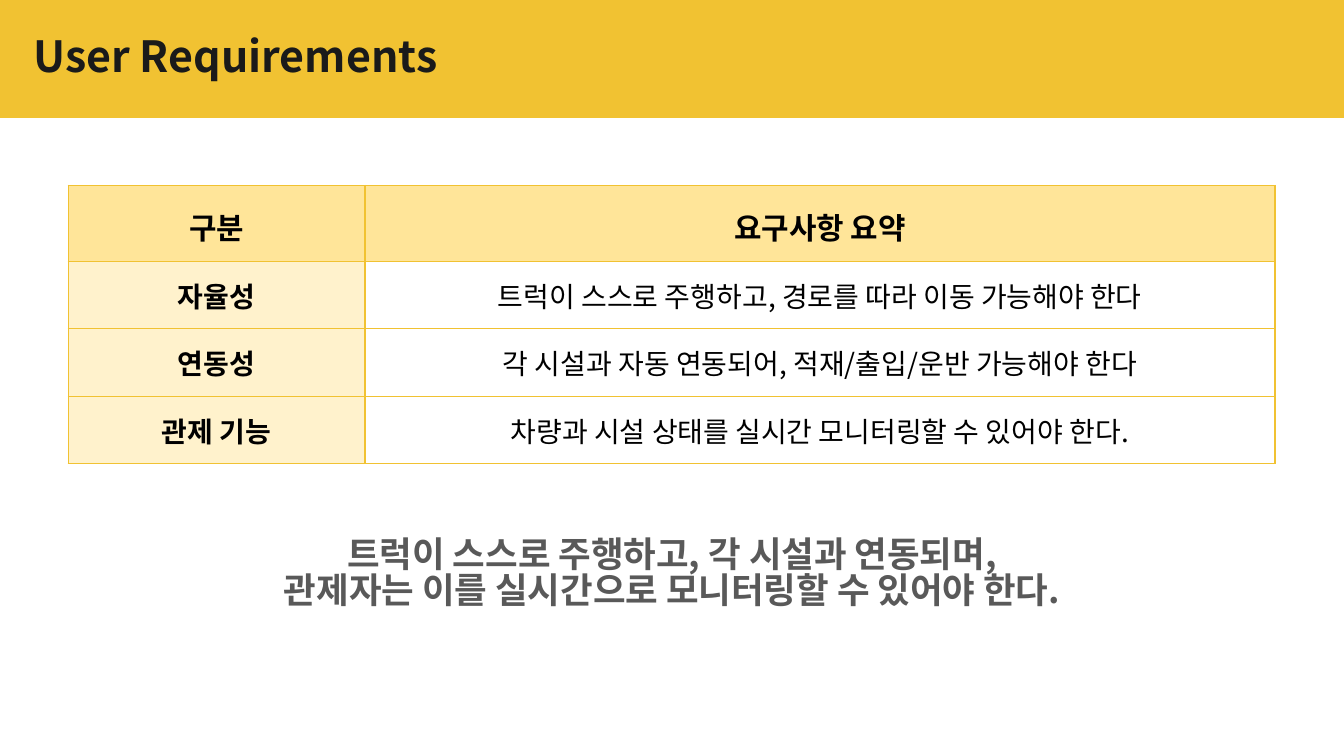
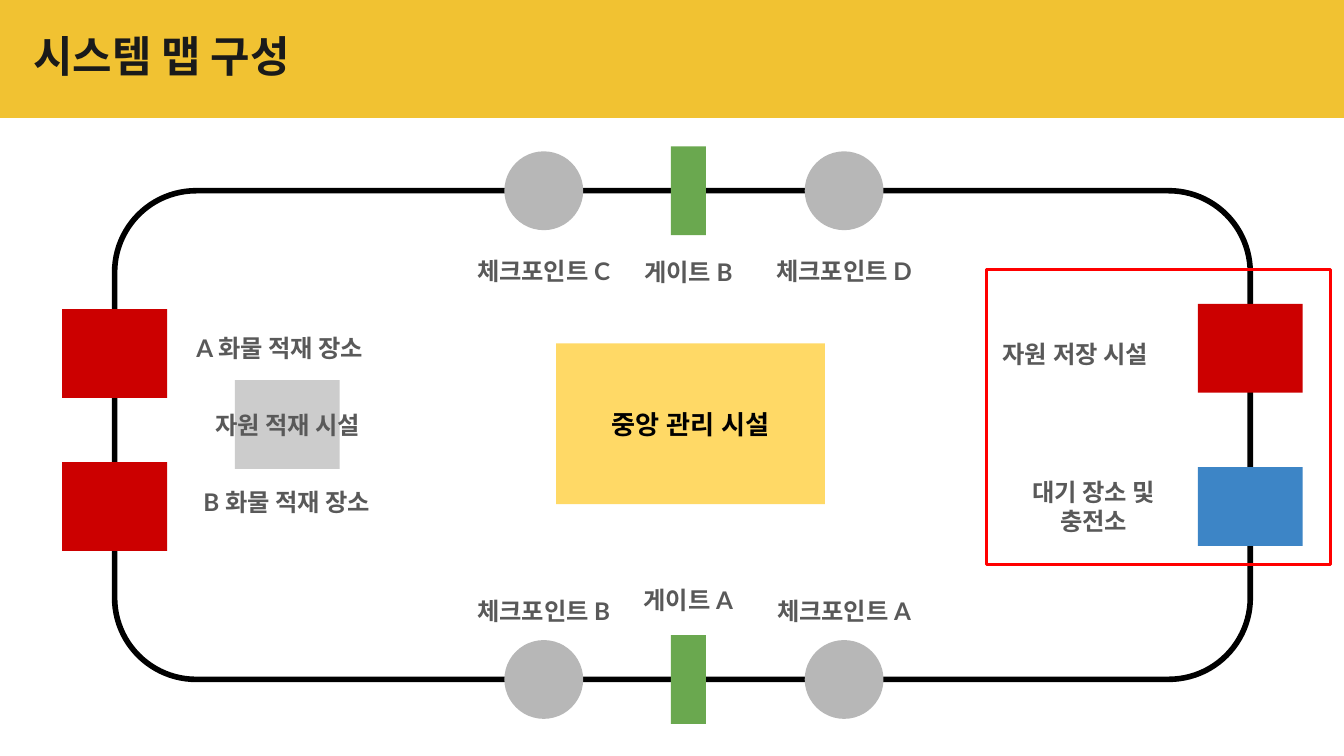
from dataclasses import dataclass

from lxml import etree
from pptx import Presentation
from pptx import util as u
from pptx.dml.color import RGBColor
from pptx.enum import shapes, text
from pptx.oxml import ns


@dataclass(frozen=True)
class Theme:
    body_font: str = "Noto Sans CJK KR"
    map_font: str = "Lato"
    title_size: int = 23
    summary_size: int = 19
    header_size: int = 16
    cell_size: int = 15
    center_size: int = 14
    label_size: int = 13
    tight: float = 0.84
    inset: float = 7.2
    band: str = "F1C232"
    title: str = "1A1A1A"
    ink: str = "000000"
    muted: str = "595959"
    header_fill: str = "FFE599"
    category_fill: str = "FFF2CC"
    storage: str = "CC0000"
    loading: str = "CCCCCC"
    charger: str = "3D85C6"
    gate: str = "6AA84F"
    checkpoint: str = "B7B7B7"
    center: str = "FFD966"
    zone: str = "FF0000"


THEME = Theme()
WIDTH, HEIGHT, BAND_HEIGHT = 720, 405, 63.2
RECT = shapes.MSO_SHAPE.RECTANGLE
OVAL = shapes.MSO_SHAPE.OVAL
ROUNDED = shapes.MSO_SHAPE.ROUNDED_RECTANGLE

REQUIREMENTS_TITLE = "User Requirements"
REQUIREMENTS = [
    ("구분", "요구사항 요약"),
    ("자율성", "트럭이 스스로 주행하고, 경로를 따라 이동 가능해야 한다"),
    ("연동성", "각 시설과 자동 연동되어, 적재/출입/운반 가능해야 한다"),
    ("관제 기능", "차량과 시설 상태를 실시간 모니터링할 수 있어야 한다."),
]
SUMMARY = ["트럭이 스스로 주행하고, 각 시설과 연동되며,",
           "관제자는 이를 실시간으로 모니터링할 수 있어야 한다."]
TABLE_LEFT, TABLE_TOP = 36.5, 99.4
COLUMN_WIDTHS = (159.1, 487.4)
ROW_HEIGHTS = (40.7, 36.1, 36.1, 36.1)

MAP_TITLE = "시스템 맵 구성"
CENTER_NAME = "중앙 관리 시설"
TRACK = (61.4, 102.2, 608.4, 261.8)
TRACK_TOP, TRACK_BOTTOM = TRACK[1], TRACK[1] + TRACK[3]
TRACK_LEFT, TRACK_RIGHT = TRACK[0], TRACK[0] + TRACK[2]
CENTER = (298, 183.9, 144, 86.2)
LOADING = (125.8, 203.6, 56.2, 47.6)
ZONE = (528.4, 144.6, 184.5, 157.8)
FACILITY_WIDTH, FACILITY_HEIGHT, CHARGER_HEIGHT = 56.2, 47.6, 42.2
GATE_WIDTH, GATE_HEIGHT, CHECKPOINT_SIZE = 18.7, 47.6, 42.2
GATE_X, LEFT_X, RIGHT_X = 368.8, 291.3, 452.2

# centre x, centre y, height, fill
FACILITIES = [
    (TRACK_LEFT, 189.4, FACILITY_HEIGHT, THEME.storage),
    (TRACK_LEFT, 271.4, FACILITY_HEIGHT, THEME.storage),
    (TRACK_RIGHT, 186.6, FACILITY_HEIGHT, THEME.storage),
    (TRACK_RIGHT, 271.4, CHARGER_HEIGHT, THEME.charger),
]
# centre x, centre y, box width, text
LABELS = [
    (GATE_X, 145.4, 67.7, "게이트 B"),
    (GATE_X, 321.1, 67.7, "게이트 A"),
    (LEFT_X, 144.9, 87.1, "체크포인트 C"),
    (RIGHT_X, 144.9, 87.1, "체크포인트 D"),
    (LEFT_X, 327, 87.1, "체크포인트 B"),
    (RIGHT_X, 327, 87.1, "체크포인트 A"),
    (149.8, 186.6, 108, "A 화물 적재 장소"),
    (154, 227.6, 95, "자원 적재 시설"),
    (153.6, 268.6, 115.2, "B 화물 적재 장소"),
    (576, 189.4, 95, "자원 저장 시설"),
    (585.7, 271.4, 87.1, "대기 장소 및 충전소"),
]
LABEL_HEIGHT = 23


def points(*lengths):
    return [u.Pt(length) for length in lengths]


def centered(x, y, width, height):
    """Box of the given size around a centre point."""
    return x - width / 2, y - height / 2, width, height


def write(frame, lines, size, color, font=THEME.body_font, bold=True,
          align=text.PP_ALIGN.CENTER, anchor=text.MSO_ANCHOR.TOP, spacing=None):
    frame.word_wrap = True
    frame.vertical_anchor = anchor
    frame.margin_left = frame.margin_right = u.Pt(THEME.inset)
    frame.margin_top = frame.margin_bottom = u.Pt(THEME.inset)
    for index, line in enumerate(lines):
        paragraph = frame.add_paragraph() if index else frame.paragraphs[0]
        paragraph.text = line
        paragraph.alignment = align
        if spacing:
            paragraph.line_spacing = spacing
        paragraph.font.size = u.Pt(size)
        paragraph.font.bold = bold
        paragraph.font.color.rgb = RGBColor.from_string(color)
        paragraph.font.name = font
        defaults = paragraph._p.pPr.find(ns.qn("a:defRPr"))
        etree.SubElement(defaults, ns.qn("a:ea"), typeface=font)


def add_text(slide, box, lines, size, color, **style):
    write(slide.shapes.add_textbox(*points(*box)).text_frame,
          lines, size, color, **style)


def add_shape(slide, kind, box, fill=None, line=None, line_width=0):
    shape = slide.shapes.add_shape(kind, *points(*box))
    shape.shadow.inherit = False
    if fill:
        shape.fill.solid()
        shape.fill.fore_color.rgb = RGBColor.from_string(fill)
    else:
        shape.fill.background()
    if line:
        shape.line.color.rgb = RGBColor.from_string(line)
        shape.line.width = u.Pt(line_width)
    else:
        shape.line.fill.background()
    return shape


def add_slide(presentation, title):
    """Blank slide with the shared title band."""
    slide = presentation.slides.add_slide(presentation.slide_layouts[6])
    add_shape(slide, RECT, (0, 0, WIDTH, BAND_HEIGHT), THEME.band)
    add_text(slide, (10.8, 13, 605.5, 42.5), [title], THEME.title_size,
             THEME.title, align=text.PP_ALIGN.LEFT, spacing=THEME.tight)
    return slide


def border_cell(cell):
    properties = cell._tc.get_or_add_tcPr()
    for position, side in enumerate(("lnL", "lnR", "lnT", "lnB")):
        border = etree.Element(ns.qn(f"a:{side}"), w=str(u.Pt(0.75)))
        fill = etree.SubElement(border, ns.qn("a:solidFill"))
        etree.SubElement(fill, ns.qn("a:srgbClr"), val=THEME.band)
        properties.insert(position, border)


def add_requirements_table(slide):
    table = slide.shapes.add_table(
        len(REQUIREMENTS), len(COLUMN_WIDTHS),
        *points(TABLE_LEFT, TABLE_TOP, sum(COLUMN_WIDTHS), sum(ROW_HEIGHTS))).table
    for column, width in zip(table.columns, COLUMN_WIDTHS):
        column.width = u.Pt(width)
    for row, height in zip(table.rows, ROW_HEIGHTS):
        row.height = u.Pt(height)
    for row_index, row in enumerate(REQUIREMENTS):
        header = row_index == 0
        for column_index, content in enumerate(row):
            category = column_index == 0
            cell = table.cell(row_index, column_index)
            if header or category:
                cell.fill.solid()
                cell.fill.fore_color.rgb = RGBColor.from_string(
                    THEME.header_fill if header else THEME.category_fill)
            else:
                cell.fill.background()
            border_cell(cell)
            cell.margin_left = cell.margin_right = u.Pt(THEME.inset)
            cell.margin_top = cell.margin_bottom = u.Pt(THEME.inset)
            write(cell.text_frame, [content],
                  THEME.header_size if header else THEME.cell_size, THEME.ink,
                  bold=header or category, spacing=1.15 if header else None)


def build_requirements(presentation):
    slide = add_slide(presentation, REQUIREMENTS_TITLE)
    add_text(slide, (0, 281.5, WIDTH, 68.4), SUMMARY, THEME.summary_size,
             THEME.muted, spacing=THEME.tight)
    add_requirements_table(slide)


def build_map(presentation):
    slide = add_slide(presentation, MAP_TITLE)
    track = add_shape(slide, ROUNDED, TRACK, line=THEME.ink, line_width=3)
    track.adjustments[0] = 0.167
    add_shape(slide, RECT, LOADING, THEME.loading)
    for x, y, height, fill in FACILITIES:
        add_shape(slide, RECT, centered(x, y, FACILITY_WIDTH, height), fill)
    for y in (TRACK_TOP, TRACK_BOTTOM):
        add_shape(slide, RECT, centered(GATE_X, y, GATE_WIDTH, GATE_HEIGHT), THEME.gate)
        for x in (LEFT_X, RIGHT_X):
            add_shape(slide, OVAL, centered(x, y, CHECKPOINT_SIZE, CHECKPOINT_SIZE),
                      THEME.checkpoint)
    map_style = dict(font=THEME.map_font, anchor=text.MSO_ANCHOR.MIDDLE)
    center = add_shape(slide, RECT, CENTER, THEME.center)
    write(center.text_frame, [CENTER_NAME], THEME.center_size, THEME.ink, **map_style)
    for x, y, width, label in LABELS:
        add_text(slide, centered(x, y, width, LABEL_HEIGHT), [label],
                 THEME.label_size, THEME.muted, **map_style)
    add_shape(slide, RECT, ZONE, line=THEME.zone, line_width=1.5)


def main():
    presentation = Presentation()
    presentation.slide_width, presentation.slide_height = points(WIDTH, HEIGHT)
    build_requirements(presentation)
    build_map(presentation)
    presentation.save("out.pptx")


if __name__ == "__main__":
    main()
